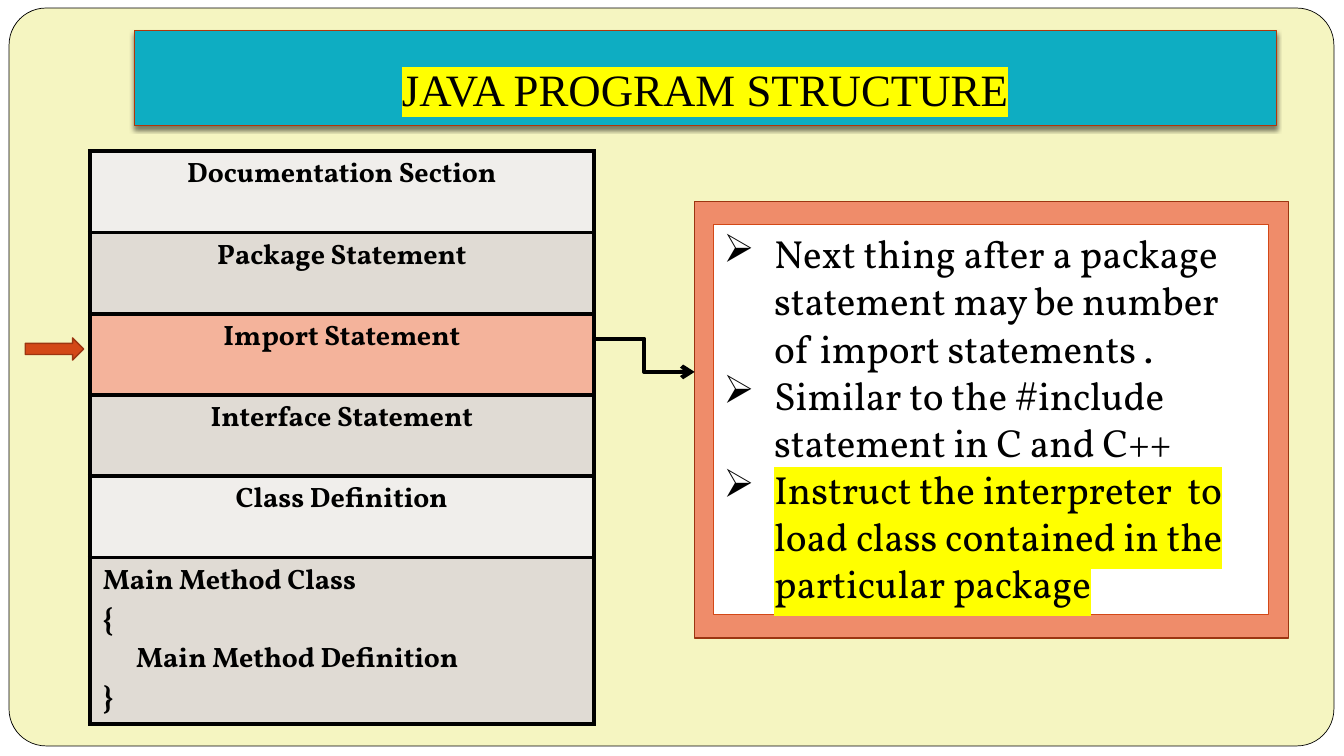
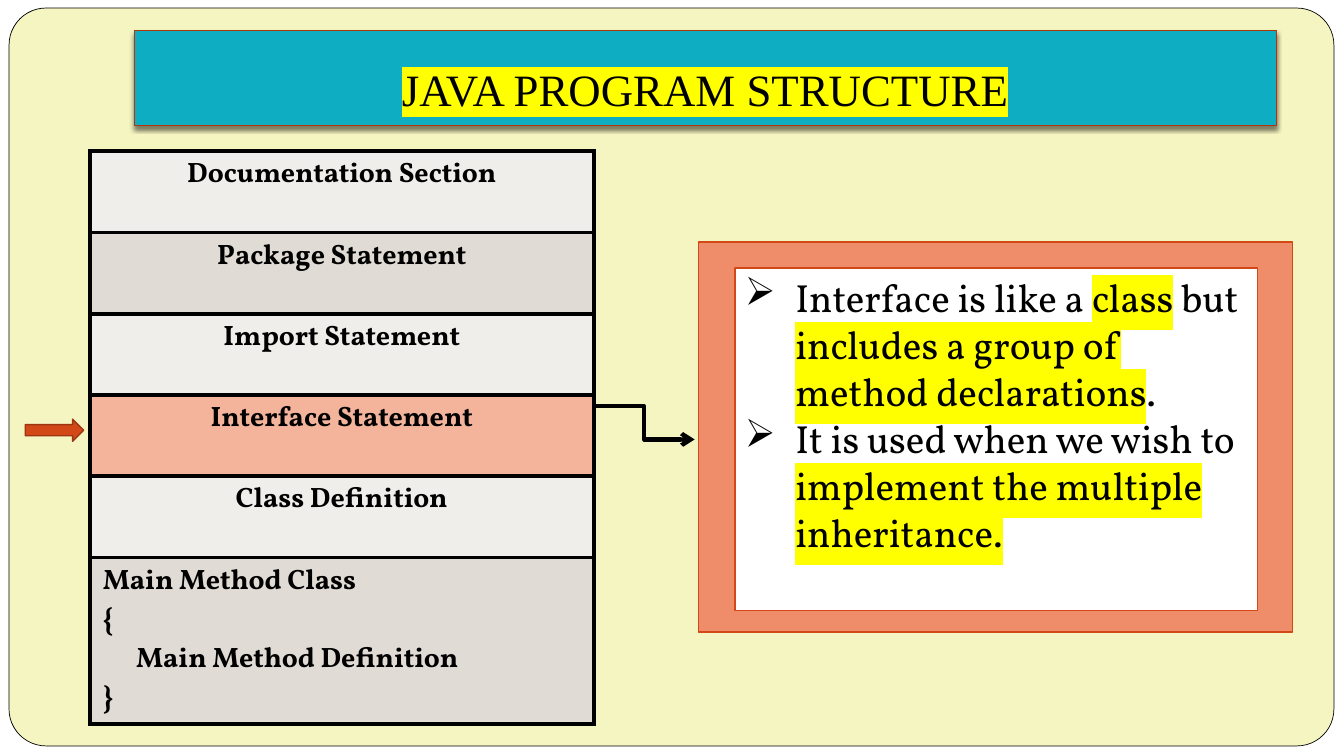
from lxml.etree import SubElement as Sub
from pptx import Presentation
from pptx.dml.color import RGBColor as Rgb
from pptx.enum.shapes import MSO_CONNECTOR as Link, MSO_SHAPE as Kind
from pptx.enum.text import MSO_ANCHOR as Anchor, PP_ALIGN as Align
from pptx.oxml import parse_xml
from pptx.oxml.ns import nsdecls, qn
from pptx.util import Inches, Pt

HUES = {
    "page": "F5F5C1", "white": "FFFFFF", "ink": "000000", "mark": "FFFF00",
    "band": "0EADC2", "rim": "B1360B", "pale": "F0EEEB", "grey": "E0DBD4",
    "pick": "F4B39B", "frame": "EF8C6A", "rust": "D34817", "dark": "9C3511",
}
HEAD, BODY = "Times New Roman", "Vollkorn"
TITLE = "JAVA PROGRAM STRUCTURE"
PARTS = [
    "Documentation Section", "Package Statement", "Import Statement",
    "Interface Statement", "Class Definition",
    "Main Method Class\n{\nMain Method Definition\n}",
]
LEFT, TOP, WIDE, HIGH, LAST = 0.89, 1.5, 5, 5.46, 1.43
ROW = (HIGH - LAST) / (len(PARTS) - 1)

# In each note, text between bars is highlighted.
PAGES = [
    {
        "row": 2, "bend": 3.36, "edge": "dark", "fills": "pale grey pick grey pale grey",
        "frame": (6.89, 2, 5.89, 4.33), "box": (7.08, 2.23, 5.5, 3.87),
        "notes": [
            "Next thing after a package statement may be number of import statements .",
            "Similar to the #include statement in C and C++",
            "|Instruct the interpreter  to load class contained in the particular package|",
        ],
    },
    {
        "row": 3, "bend": 4.03, "edge": "rust", "fills": "pale grey pale pick pale grey",
        "frame": (6.93, 2.4, 5.89, 3.87), "box": (7.29, 2.66, 5.18, 3.4),
        "notes": [
            "Interface is like a |class| but |includes a group of method declarations|.",
            "It is used when we wish to |implement the multiple inheritance.|",
        ],
    },
]


def hue(name):
    """Return the named colour."""
    return Rgb.from_string(HUES[name])


def style(run, size, font=BODY, bold=False, mark=False):
    """Format one run, highlighted if asked."""
    run.font.size, run.font.name, run.font.bold = Pt(size), font, bold
    run.font.color.rgb = hue("ink")
    if mark:
        fill = run.font._element.find(qn("a:solidFill"))
        fill.addnext(parse_xml(
            f'<a:highlight {nsdecls("a")}><a:srgbClr val="{HUES["mark"]}"/></a:highlight>'))


def block(slide, kind, area, fill, edge=None, width=1):
    """Add a filled preset shape without a shadow."""
    shape = slide.shapes.add_shape(kind, *map(Inches, area))
    shape.shadow.inherit = False
    shape.fill.solid()
    shape.fill.fore_color.rgb = hue(fill)
    if edge:
        shape.line.color.rgb = hue(edge)
        shape.line.width = Pt(width)
    else:
        shape.line.fill.background()
    return shape


def base(slide):
    """Draw the page panel and the title band."""
    back = slide.background.fill
    back.solid()
    back.fore_color.rgb = hue("page")
    block(slide, Kind.RECTANGLE, (0, 0, 13.33, 7.5), "white")
    panel = block(slide, Kind.ROUNDED_RECTANGLE, (0.09, 0.08, 13.14, 7.32), "page", "ink", 0.5)
    panel.adjustments[0] = 0.05
    band = block(slide, Kind.RECTANGLE, (1.33, 0.3, 11.33, 0.95), "band", "rim", 0.75)
    glow = band._element.spPr.find(qn("a:effectLst"))
    glow.append(parse_xml(
        f'<a:outerShdw {nsdecls("a")} blurRad="{Pt(3)}" dist="{Pt(2)}" dir="5400000" '
        f'rotWithShape="0"><a:srgbClr val="{HUES["ink"]}"><a:alpha val="50000"/>'
        '</a:srgbClr></a:outerShdw>'))
    frame = band.text_frame
    frame.word_wrap = True
    frame.vertical_anchor = Anchor.BOTTOM
    frame.margin_bottom = Inches(0.1)
    frame.text = TITLE
    para = frame.paragraphs[0]
    para.alignment = Align.CENTER
    style(para.runs[0], 32, HEAD, mark=True)


def rule(cell):
    """Draw the four borders of a cell."""
    props = cell._tc.get_or_add_tcPr()
    for spot, side in enumerate(("lnL", "lnR", "lnT", "lnB")):
        props.insert(spot, parse_xml(
            f'<a:{side} {nsdecls("a")} w="{Pt(3)}"><a:solidFill>'
            f'<a:srgbClr val="{HUES["ink"]}"/></a:solidFill></a:{side}>'))


def stack(slide, fills):
    """Add the table of program parts."""
    count = len(PARTS)
    table = slide.shapes.add_table(
        count, 1, *map(Inches, (LEFT, TOP, WIDE, HIGH))).table
    table.first_row = table.horz_banding = False
    for num, (part, fill) in enumerate(zip(PARTS, fills)):
        final = num == count - 1
        table.rows[num].height = Inches(LAST if final else ROW)
        cell = table.cell(num, 0)
        cell.margin_left = cell.margin_right = Inches(0.13)
        cell.fill.solid()
        cell.fill.fore_color.rgb = hue(fill)
        rule(cell)
        cell.text_frame.text = part
        for para in cell.text_frame.paragraphs:
            para.alignment = Align.LEFT if final else Align.CENTER
            style(para.runs[0], 20, bold=True)
        if final:
            inner = cell.text_frame.paragraphs[2]
            inner._p.get_or_add_pPr().set("marL", str(Inches(0.33)))


def notes(slide, area, lines):
    """Add the white box of bulleted notes."""
    frame = block(slide, Kind.RECTANGLE, area, "white", "rust").text_frame
    frame.word_wrap = True
    frame.vertical_anchor = Anchor.TOP
    for num, line in enumerate(lines):
        para = frame.add_paragraph() if num else frame.paragraphs[0]
        para.alignment = Align.LEFT
        props = para._p.get_or_add_pPr()
        props.set("marL", str(Inches(0.5)))
        props.set("indent", str(Inches(-0.5)))
        font = Sub(props, qn("a:buFont"))
        font.set("typeface", "Wingdings")
        font.set("charset", "2")
        Sub(props, qn("a:buChar")).set("char", "Ø")
        for spot, piece in enumerate(line.split("|")):
            if piece:
                run = para.add_run()
                run.text = piece
                style(run, 28, mark=spot % 2 == 1)


def link(slide, top):
    """Add the bent arrow from the table to the notes."""
    start = LEFT + WIDE
    line = slide.shapes.add_connector(
        Link.ELBOW, *map(Inches, (start, top, start + 1, top + 0.33)))
    line.line.color.rgb = hue("ink")
    line.line.width = Pt(3)
    Sub(line.line._get_or_add_ln(), qn("a:tailEnd")).set("type", "arrow")
    Sub(line._element.spPr, qn("a:effectLst"))


def build(deck, page):
    """Build one slide."""
    slide = deck.slides.add_slide(deck.slide_layouts[6])
    base(slide)
    stack(slide, page["fills"].split())
    block(slide, Kind.RECTANGLE, page["frame"], "frame", page["edge"])
    notes(slide, page["box"], page["notes"])
    link(slide, page["bend"])
    high = TOP + ROW * page["row"] + 0.24
    block(slide, Kind.RIGHT_ARROW, (0.25, high, 0.58, 0.22), "rust", "dark")


def main():
    """Build and save the deck."""
    deck = Presentation()
    deck.slide_width, deck.slide_height = Inches(13.33), Inches(7.5)
    for page in PAGES:
        build(deck, page)
    deck.save("out.pptx")


main()
